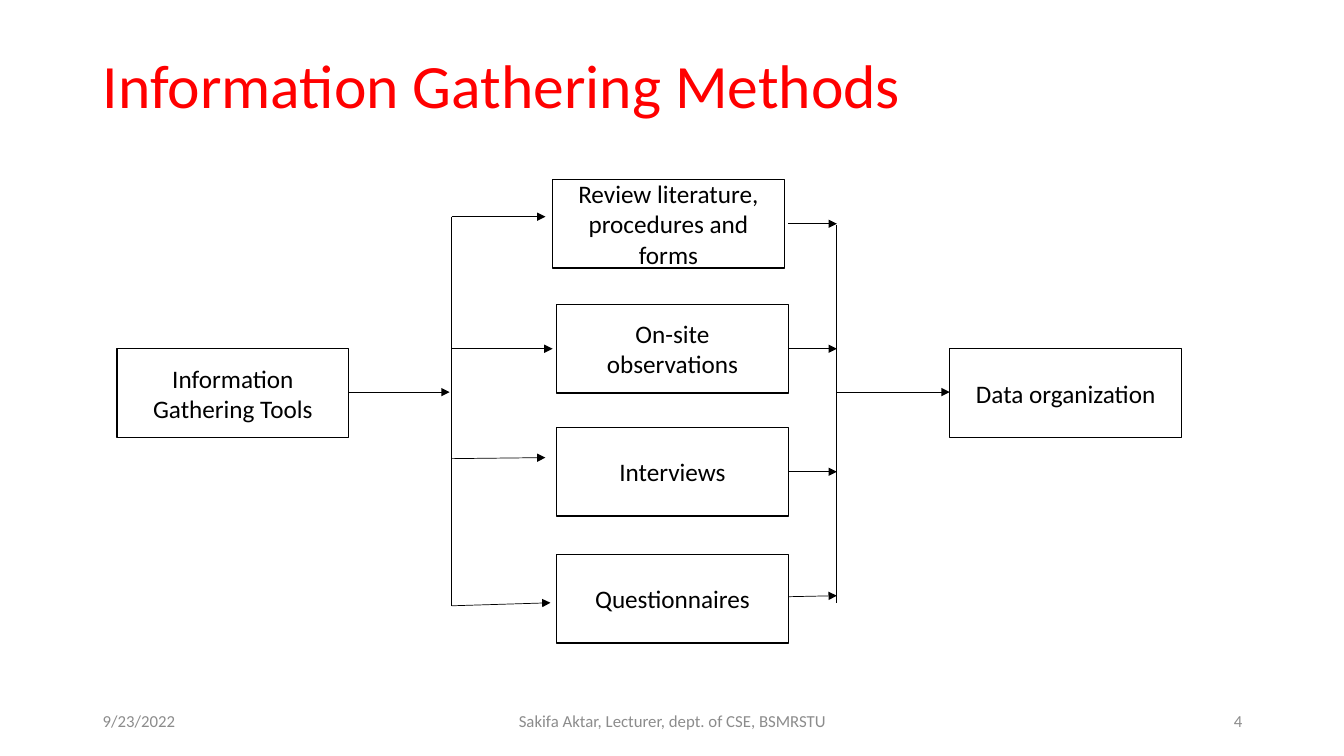
from dataclasses import dataclass

from lxml import etree
from pptx import Presentation
from pptx import util as u
from pptx.dml.color import RGBColor
from pptx.enum import shapes, text
from pptx.oxml import ns

# The slide is a grid of square cells, 133.3 columns by 75 rows.
CELL = u.Inches(0.1)
COLUMNS, ROWS = 133.3, 75
FONT = "Calibri"
COLORS = {"title": "FF0000", "ink": "000000", "paper": "FFFFFF", "footer": "8C8C8C"}
ALIGN = text.PP_ALIGN

BOX_WIDTH, BOX_HEIGHT = 23, 8.8
LEFT_RAIL, RIGHT_RAIL = 44.8, 83
METHODS_RIGHT = 78.2
MAIN_ROW = 38.9


@dataclass
class Box:
    label: str
    column: float
    row: float


@dataclass
class Line:
    column: float
    row: float
    end_column: float
    end_row: float
    arrow: bool = True


@dataclass
class Footer:
    label: str
    column: float
    width: float
    align: ALIGN


BOXES = [
    Box("Review literature, procedures and forms", 54.8, 17.8),
    Box("On-site\nobservations", 55.2, 30.2),
    Box("Interviews", 55.2, 42.4),
    Box("Questionnaires", 55.2, 55),
    Box("Information Gathering Tools", 11.6, 34.6),
    Box("Data organization", 94.2, 34.6),
]

LINES = [
    Line(34.6, MAIN_ROW, 44.6, MAIN_ROW),
    Line(LEFT_RAIL, 21.5, LEFT_RAIL, 60.1, arrow=False),
    Line(LEFT_RAIL, 21.5, 54.1, 21.5),
    Line(LEFT_RAIL, 34.6, 54.8, 34.6),
    Line(LEFT_RAIL, 45.5, 54.1, 45.4),
    Line(LEFT_RAIL, 60.1, 54.6, 59.8),
    Line(METHODS_RIGHT, 22.2, RIGHT_RAIL, 22.2),
    Line(METHODS_RIGHT, 34.6, RIGHT_RAIL, 34.6),
    Line(METHODS_RIGHT, 46.8, RIGHT_RAIL, 46.8),
    Line(METHODS_RIGHT, 59.2, RIGHT_RAIL, 59.1),
    Line(RIGHT_RAIL, 22.3, RIGHT_RAIL, 59.8, arrow=False),
    Line(RIGHT_RAIL, MAIN_ROW, 94.2, MAIN_ROW),
]

FOOTERS = [
    Footer("9/23/2022", 9.2, 30, ALIGN.LEFT),
    Footer("Sakifa Aktar, Lecturer, dept. of CSE, BSMRSTU", 44.2, 45, ALIGN.CENTER),
    Footer("4", 94.2, 30, ALIGN.RIGHT),
]


def cells(count: float) -> u.Emu:
    """Length of a number of grid cells."""
    return u.Emu(round(count * CELL))


def color(name: str) -> RGBColor:
    return RGBColor.from_string(COLORS[name])


def write(shape, label: str, size: float, ink: str, align: ALIGN, spacing: float = 1) -> None:
    """Fill a shape with vertically centred text, one paragraph per line."""
    frame = shape.text_frame
    frame.word_wrap = True
    frame.vertical_anchor = text.MSO_ANCHOR.MIDDLE
    for index, words in enumerate(label.split("\n")):
        para = frame.add_paragraph() if index else frame.paragraphs[0]
        para.alignment = align
        para.line_spacing = spacing
        span = para.add_run()
        span.text = words
        span.font.name = FONT
        span.font.size = u.Pt(size)
        span.font.color.rgb = color(ink)


def add_title(page, label: str) -> None:
    title = page.shapes.title
    title.left, title.top = cells(9.2), cells(4)
    title.width, title.height = cells(115), cells(9.5)
    write(title, label, 44, "title", ALIGN.LEFT, spacing=0.9)


def add_box(page, box: Box) -> None:
    shape = page.shapes.add_shape(
        shapes.MSO_SHAPE.RECTANGLE,
        cells(box.column), cells(box.row), cells(BOX_WIDTH), cells(BOX_HEIGHT),
    )
    shape.shadow.inherit = False
    shape.fill.solid()
    shape.fill.fore_color.rgb = color("paper")
    shape.line.color.rgb = color("ink")
    shape.line.width = u.Pt(1)
    write(shape, box.label, 18, "ink", ALIGN.CENTER)


def add_line(page, line: Line) -> None:
    connector = page.shapes.add_connector(
        shapes.MSO_CONNECTOR.STRAIGHT,
        cells(line.column), cells(line.row), cells(line.end_column), cells(line.end_row),
    )
    connector.line.color.rgb = color("ink")
    connector.line.width = u.Pt(0.5)
    if line.arrow:
        outline = connector.line._get_or_add_ln()
        etree.SubElement(outline, ns.qn("a:tailEnd"), type="triangle")
    etree.SubElement(connector._element.spPr, ns.qn("a:effectLst"))


def add_footer(page, footer: Footer) -> None:
    box = page.shapes.add_textbox(
        cells(footer.column), cells(69.5), cells(footer.width), cells(4)
    )
    write(box, footer.label, 12, "footer", footer.align)


def main() -> None:
    deck = Presentation()
    deck.slide_width, deck.slide_height = cells(COLUMNS), cells(ROWS)
    page = deck.slides.add_slide(deck.slide_layouts.get_by_name("Title Only"))
    add_title(page, "Information Gathering Methods")
    for box in BOXES:
        add_box(page, box)
    for line in LINES:
        add_line(page, line)
    for footer in FOOTERS:
        add_footer(page, footer)
    deck.save("out.pptx")


if __name__ == "__main__":
    main()
